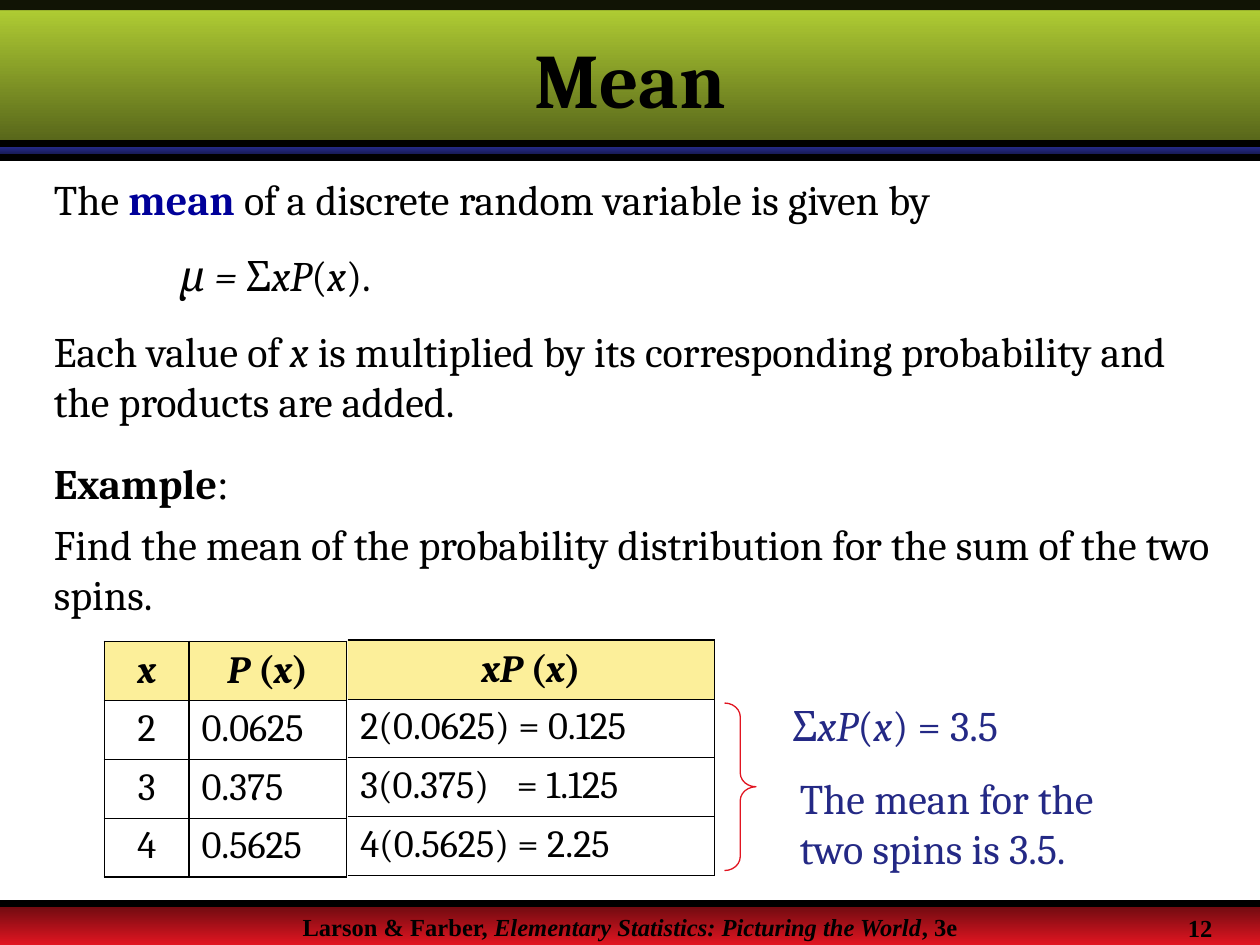
from dataclasses import dataclass

import pptx
import pptx.dml.color
import pptx.enum.shapes
import pptx.enum.text
import pptx.oxml.ns
import pptx.util
from lxml import etree
from pptx.util import Inches, Pt

SERIF, ROMAN = "Cambria", "Times New Roman"
BLACK, NAVY, BLUE, RED, YELLOW = "000000", "242985", "000099", "E11521", "FBE136"
ALIGN = pptx.enum.text.PP_ALIGN
ANCHOR = pptx.enum.text.MSO_ANCHOR
SHAPE = pptx.enum.shapes.MSO_SHAPE
qn = pptx.oxml.ns.qn
THIN, THICK = 0.45, 1.08


@dataclass
class Band:
    top: float
    height: float
    start: str
    end: str


@dataclass
class Grid:
    left: float
    top: float
    widths: list[float]
    rows: list[list[str]]
    centered: set[int]
    left_border: bool


def rgb(value: str):
    return pptx.dml.color.RGBColor.from_string(value)


def set_fill(fill, color: str, alpha: int = 100) -> None:
    fill.solid()
    fill.fore_color.rgb = rgb(color)
    if alpha < 100:
        clr = fill._xPr.find(qn("a:solidFill"))[0]
        etree.SubElement(clr, qn("a:alpha"), val=str(alpha * 1000))


def write(p, text: str, size: float = 24, font: str = SERIF, color: str = BLACK,
          strong: str | None = None, align=None, before: float = 0,
          indent: float = 0, tab: float = 0) -> None:
    """Asterisks enclose bold text, underscores enclose italic text."""
    pPr = p._p.get_or_add_pPr()
    if indent:
        pPr.set("marL", str(Inches(indent)))
    if before:
        p.space_before = Pt(before)
    if tab:
        tabs = etree.SubElement(pPr, qn("a:tabLst"))
        etree.SubElement(tabs, qn("a:tab"), pos=str(Inches(tab)), algn="l")
    if align is not None:
        p.alignment = align
    for i, chunk in enumerate(text.split("*")):
        for j, part in enumerate(chunk.split("_")):
            if part:
                r = p.add_run()
                r.text = part
                r.font.size, r.font.name = Pt(size), font
                r.font.bold, r.font.italic = i % 2 == 1, j % 2 == 1
                r.font.color.rgb = rgb(strong if strong and i % 2 else color)


def add_box(s, x: float, y: float, w: float, h: float, wrap: bool = True):
    tf = s.shapes.add_textbox(Inches(x), Inches(y), Inches(w), Inches(h)).text_frame
    tf.word_wrap = wrap
    return tf


def add_bar(s, top: float, height: float):
    sp = s.shapes.add_shape(SHAPE.RECTANGLE, 0, Inches(top), Inches(10), Inches(height))
    sp.shadow.inherit = False
    sp.line.fill.background()
    return sp


def add_band(s, band: Band) -> None:
    fill = add_bar(s, band.top, band.height).fill
    fill.gradient()
    fill.gradient_angle = 270
    for stop, color, pos in zip(fill.gradient_stops, (band.start, band.end), (0, 1)):
        stop.color.rgb = rgb(color)
        stop.position = pos


def add_rule(s, y: float) -> None:
    ln = s.shapes.add_connector(pptx.enum.shapes.MSO_CONNECTOR.STRAIGHT,
                                0, Inches(y), Inches(10), Inches(y))
    ln.line.color.rgb = rgb(BLACK)
    ln.line.width = Pt(4)
    etree.SubElement(ln._element.spPr, qn("a:effectLst"))


def set_border(cell, side: str, width: float) -> None:
    ln = etree.SubElement(cell._tc.get_or_add_tcPr(), qn(f"a:ln{side}"), w=str(Pt(width)))
    if width:
        fill = etree.SubElement(ln, qn("a:solidFill"))
        etree.SubElement(fill, qn("a:srgbClr"), val=BLACK)
    else:
        etree.SubElement(ln, qn("a:noFill"))


def add_grid(s, grid: Grid) -> None:
    n = len(grid.rows)
    tbl = s.shapes.add_table(n, len(grid.widths), Inches(grid.left), Inches(grid.top),
                             Inches(sum(grid.widths)), Inches(1.87)).table
    tbl.first_row = tbl.horz_banding = False
    for col, width in zip(tbl.columns, grid.widths):
        col.width = Inches(width)
    for i, row in enumerate(grid.rows):
        for j, text in enumerate(row):
            cell = tbl.cell(i, j)
            cell.margin_left = cell.margin_right = Inches(0.1)
            cell.margin_top = cell.margin_bottom = Inches(0.05)
            set_border(cell, "L", THICK if grid.left_border else 0)
            set_border(cell, "R", THICK)
            set_border(cell, "T", THICK if i == 0 else THIN)
            set_border(cell, "B", THICK if i == n - 1 else THIN)
            if i == 0:
                set_fill(cell.fill, YELLOW, 50)
                cell.vertical_anchor = ANCHOR.MIDDLE
            else:
                cell.fill.background()
            centered = i == 0 or j in grid.centered
            write(cell.text_frame.paragraphs[0], text, size=22,
                  align=ALIGN.CENTER if centered else ALIGN.LEFT,
                  tab=1.24 if "\t" in text else 0)


def main() -> None:
    prs = pptx.Presentation()
    prs.slide_width, prs.slide_height = Inches(10), Inches(7.5)
    s = prs.slides.add_slide(prs.slide_layouts[5])

    for band in (Band(7.17, 0.33, "680A0F", RED),
                 Band(1.17, 0.08, NAVY, "11133E"),
                 Band(0, 1.17, "B5D335", "546219")):
        add_band(s, band)
    for y in (1.25, 7.17, 1.14):
        add_rule(s, y)
    set_fill(add_bar(s, 0, 0.08).fill, BLACK, 90)

    write(add_box(s, 0, 7.19, 10, 0.2).paragraphs[0],
          "*Larson & Farber, _Elementary Statistics: Picturing the World_, 3e*",
          size=14, font=ROMAN, align=ALIGN.CENTER)
    write(add_box(s, 9.33, 7.2, 0.4, 0.34, wrap=False).paragraphs[0],
          "*12*", size=14, font=ROMAN)

    title = s.shapes.title
    s.shapes._spTree.append(title._element)
    title.left, title.top = Inches(0), Inches(0.08)
    title.width, title.height = Inches(10), Inches(1.08)
    tf = title.text_frame
    tf.auto_size = pptx.enum.text.MSO_AUTO_SIZE.NONE
    tf.vertical_anchor = ANCHOR.MIDDLE
    write(tf.paragraphs[0], "*Mean*", size=44, align=ALIGN.CENTER)

    tf = add_box(s, 0.33, 1.33, 9.42, 2.15)
    write(tf.paragraphs[0], "The *mean *of a discrete random variable is given by", strong=BLUE)
    write(tf.add_paragraph(), "_μ = _Σ_xP_(_x_).", before=14.5, indent=1)
    write(tf.add_paragraph(), "Each value of _x_ is multiplied by its corresponding "
          "probability and the products are added.", before=14.5)

    tf = add_box(s, 0.33, 3.58, 9.45, 1)
    write(tf.paragraphs[0], "*Example*")
    write(tf.paragraphs[0], ":", font=ROMAN)
    write(tf.add_paragraph(), "Find the mean of the probability distribution "
          "for the sum of the two spins.", before=6)

    add_grid(s, Grid(0.83, 5.09, [0.67, 1.25],
                     [["*_x_*", "*_P_ (_x_)*"], ["2", "0.0625"], ["3", "0.375"],
                      ["4", "0.5625"]], {0}, True))
    add_grid(s, Grid(2.76, 5.08, [2.91],
                     [["*_xP_ (_x_)*"], ["2(0.0625) = 0.125"], ["3(0.375)\t= 1.125"],
                      ["4(0.5625) = 2.25"]], set(), False))

    write(add_box(s, 6.19, 5.5, 2.03, 0.5, wrap=False).paragraphs[0],
          "Σ_xP_(_x_) = 3.5", color=NAVY)
    brace = s.shapes.add_shape(SHAPE.RIGHT_BRACE, Inches(5.75), Inches(5.58),
                               Inches(0.25), Inches(1.33))
    brace.shadow.inherit = False
    brace.adjustments[0] = 0.44
    brace.fill.background()
    brace.line.color.rgb = rgb(RED)
    brace.line.width = Pt(0.75)
    write(add_box(s, 6.25, 6.08, 3.07, 0.9).paragraphs[0],
          "The mean for the two spins is 3.5.", color=NAVY)

    prs.save("out.pptx")


if __name__ == "__main__":
    main()
